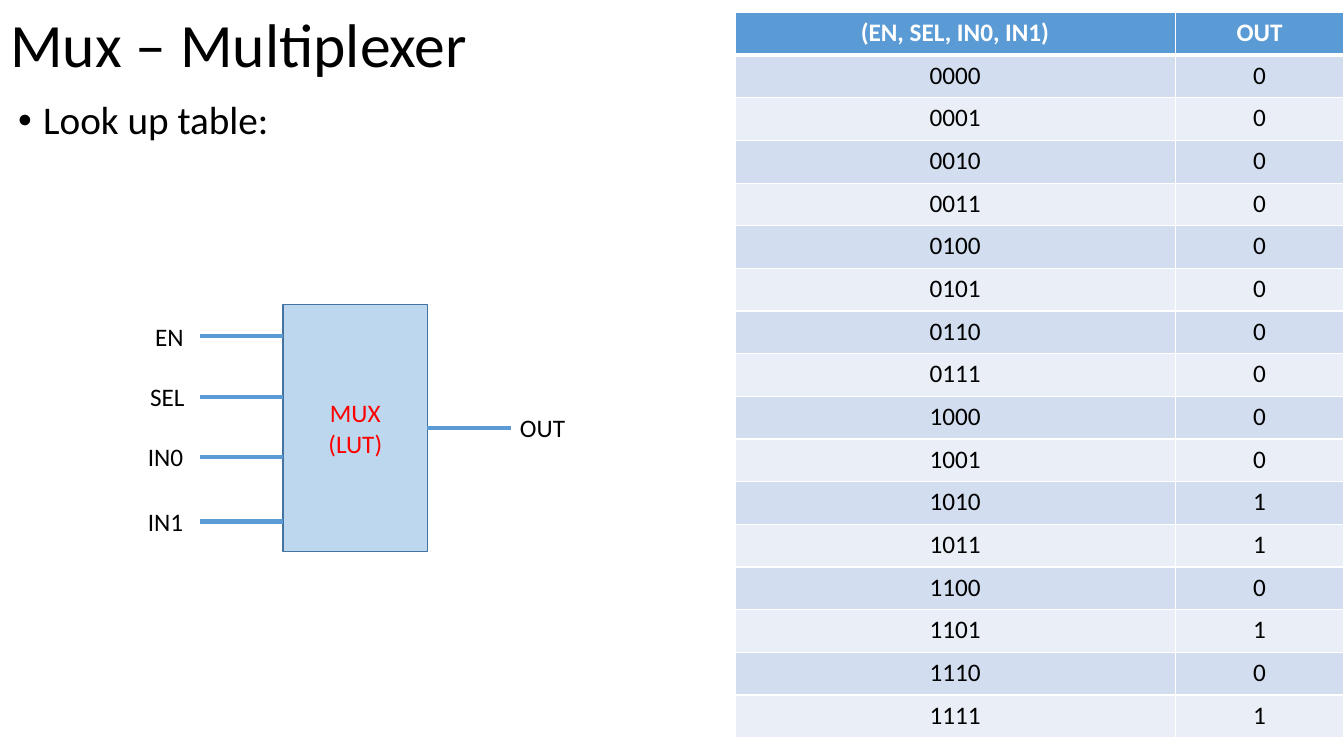
from dataclasses import dataclass
from itertools import product

from lxml.etree import SubElement
from pptx import Presentation
from pptx.dml.color import RGBColor
from pptx.enum.shapes import MSO_CONNECTOR, MSO_SHAPE
from pptx.enum.text import MSO_ANCHOR, MSO_AUTO_SIZE, PP_ALIGN
from pptx.oxml.ns import qn
from pptx.util import Pt


@dataclass(frozen=True)
class Theme:
    """Colours, font and type sizes of the slide."""
    font: str = "Calibri"
    title: int = 44
    body: int = 28
    small: int = 18
    ink: str = "000000"
    white: str = "FFFFFF"
    accent: str = "5B9BD5"
    bands: tuple = ("D2DEEF", "EAEFF7")
    block: str = "BDD7EE"
    block_edge: str = "43739E"
    block_text: str = "FF0000"


class SlideBuilder:
    """Adds styled elements to one slide."""

    def __init__(self, slide, theme):
        """Keep the slide and its theme."""
        self.slide = slide
        self.theme = theme

    def add_words(self, paragraph, words, size, color, bold=False, align=PP_ALIGN.LEFT):
        """Add one formatted run to a paragraph."""
        paragraph.alignment = align
        run = paragraph.add_run()
        run.text = words
        run.font.name = self.theme.font
        run.font.size = Pt(size)
        run.font.bold = bold
        run.font.color.rgb = RGBColor.from_string(color)

    def title(self, words, left, top, width, height):
        """Place and fill the title placeholder."""
        heading = self.slide.shapes.title
        heading.left, heading.top = Pt(left), Pt(top)
        heading.width, heading.height = Pt(width), Pt(height)
        frame = heading.text_frame
        frame.auto_size = MSO_AUTO_SIZE.NONE
        frame.vertical_anchor = MSO_ANCHOR.MIDDLE
        frame.paragraphs[0].line_spacing = 0.9
        self.add_words(frame.paragraphs[0], words, self.theme.title, self.theme.ink)

    def text(self, words, left, top, width, height, size, align=PP_ALIGN.LEFT):
        """Add a text box and return its paragraph."""
        box = self.slide.shapes.add_textbox(Pt(left), Pt(top), Pt(width), Pt(height))
        box.text_frame.word_wrap = True
        paragraph = box.text_frame.paragraphs[0]
        self.add_words(paragraph, words, size, self.theme.ink, align=align)
        return paragraph

    def bullet(self, words, left, top, width, height):
        """Add a bulleted line."""
        paragraph = self.text(words, left, top, width, height, self.theme.body)
        paragraph.line_spacing = 0.9
        paragraph.space_before = Pt(10)
        properties = paragraph._p.get_or_add_pPr()
        properties.set("marL", str(Pt(18)))
        properties.set("indent", str(-Pt(18)))
        SubElement(properties, qn("a:buFont"), typeface="Arial")
        SubElement(properties, qn("a:buChar"), char="•")

    def block(self, lines, left, top, width, height):
        """Add a filled rectangle with centred lines of text."""
        block = self.slide.shapes.add_shape(
            MSO_SHAPE.RECTANGLE, Pt(left), Pt(top), Pt(width), Pt(height))
        block.shadow.inherit = False
        block.fill.solid()
        block.fill.fore_color.rgb = RGBColor.from_string(self.theme.block)
        block.line.color.rgb = RGBColor.from_string(self.theme.block_edge)
        block.line.width = Pt(1)
        frame = block.text_frame
        frame.vertical_anchor = MSO_ANCHOR.MIDDLE
        for index, words in enumerate(lines):
            paragraph = frame.add_paragraph() if index else frame.paragraphs[0]
            self.add_words(paragraph, words, self.theme.small, self.theme.block_text,
                           align=PP_ALIGN.CENTER)
        return block

    def wire(self, start, end, y):
        """Add a horizontal line and return it."""
        wire = self.slide.shapes.add_connector(
            MSO_CONNECTOR.STRAIGHT, Pt(start), Pt(y), Pt(end), Pt(y))
        wire.line.color.rgb = RGBColor.from_string(self.theme.accent)
        wire.line.width = Pt(3)
        SubElement(wire._element.spPr, qn("a:effectLst"))
        return wire

    def cell(self, cell, words, fill, color, bold, top, bottom):
        """Fill, border and label a table cell."""
        properties = cell._tc.get_or_add_tcPr()
        for side, weight in (("L", 1), ("R", 1), ("T", top), ("B", bottom)):
            border = SubElement(properties, qn(f"a:ln{side}"), w=str(Pt(weight)))
            paint = SubElement(border, qn("a:solidFill"))
            SubElement(paint, qn("a:srgbClr"), val=self.theme.white)
        cell.fill.solid()
        cell.fill.fore_color.rgb = RGBColor.from_string(fill)
        self.add_words(cell.text_frame.paragraphs[0], words, self.theme.small, color,
                       bold, PP_ALIGN.CENTER)

    def table(self, rows, left, top, widths, height):
        """Add a table with a header row and banded body."""
        table = self.slide.shapes.add_table(
            len(rows), len(widths), Pt(left), Pt(top), Pt(sum(widths)), Pt(height)).table
        for column, width in zip(table.columns, widths):
            column.width = Pt(width)
        for r, row in enumerate(rows):
            table.rows[r].height = Pt(height / len(rows))
            header = r == 0
            fill = self.theme.accent if header else self.theme.bands[(r - 1) % 2]
            color = self.theme.white if header else self.theme.ink
            for c, words in enumerate(row):
                self.cell(table.cell(r, c), words, fill, color, header,
                          3 if r == 1 else 1, 3 if header else 1)


def lookup_rows():
    """Return the header and every state of the multiplexer."""
    rows = [("(EN, SEL, IN0, IN1)", "OUT")]
    for en, sel, in0, in1 in product((0, 1), repeat=4):
        out = en and (in1 if sel else in0)
        rows.append((f"{en}{sel}{in0}{in1}", str(out)))
    return rows


def main():
    """Build and save the multiplexer slide."""
    deck = Presentation()
    deck.slide_width, deck.slide_height = Pt(960), Pt(540)
    theme = Theme()
    builder = SlideBuilder(deck.slides.add_slide(deck.slide_layouts[5]), theme)

    builder.title("Mux – Multiplexer", 0, 0, 372, 68.4)
    builder.bullet("Look up table:", 5.8, 68.4, 196.5, 41)
    builder.table(lookup_rows(), 525, 8.9, (314.4, 120.6), 518.4)

    mux_left, mux_top, mux_width, mux_height = 202.3, 217.4, 103, 176.4
    mux_right, mux_middle = mux_left + mux_width, mux_top + mux_height / 2
    wire_length, label_height, label_right = 59.5, 29, 140.4
    mux = builder.block(("MUX", "(LUT)"), mux_left, mux_top, mux_width, mux_height)

    inputs = (("EN", 240.2, 36.7, PP_ALIGN.LEFT), ("SEL", 283.5, 41.8, PP_ALIGN.CENTER),
              ("IN0", 326.4, 41.8, PP_ALIGN.LEFT), ("IN1", 372.5, 41.8, PP_ALIGN.LEFT))
    for name, y, width, align in inputs:
        builder.wire(mux_left - wire_length, mux_left, y)
        builder.text(name, label_right - width, y - label_height / 2, width,
                     label_height, theme.small, align)

    output_end = mux_right + wire_length
    output = builder.wire(mux_right, output_end, mux_middle)
    output.begin_connect(mux, 3)
    builder.text("OUT", output_end - 0.5, mux_middle - label_height / 2, 49.7,
                 label_height, theme.small)

    deck.save("out.pptx")


if __name__ == "__main__":
    main()
